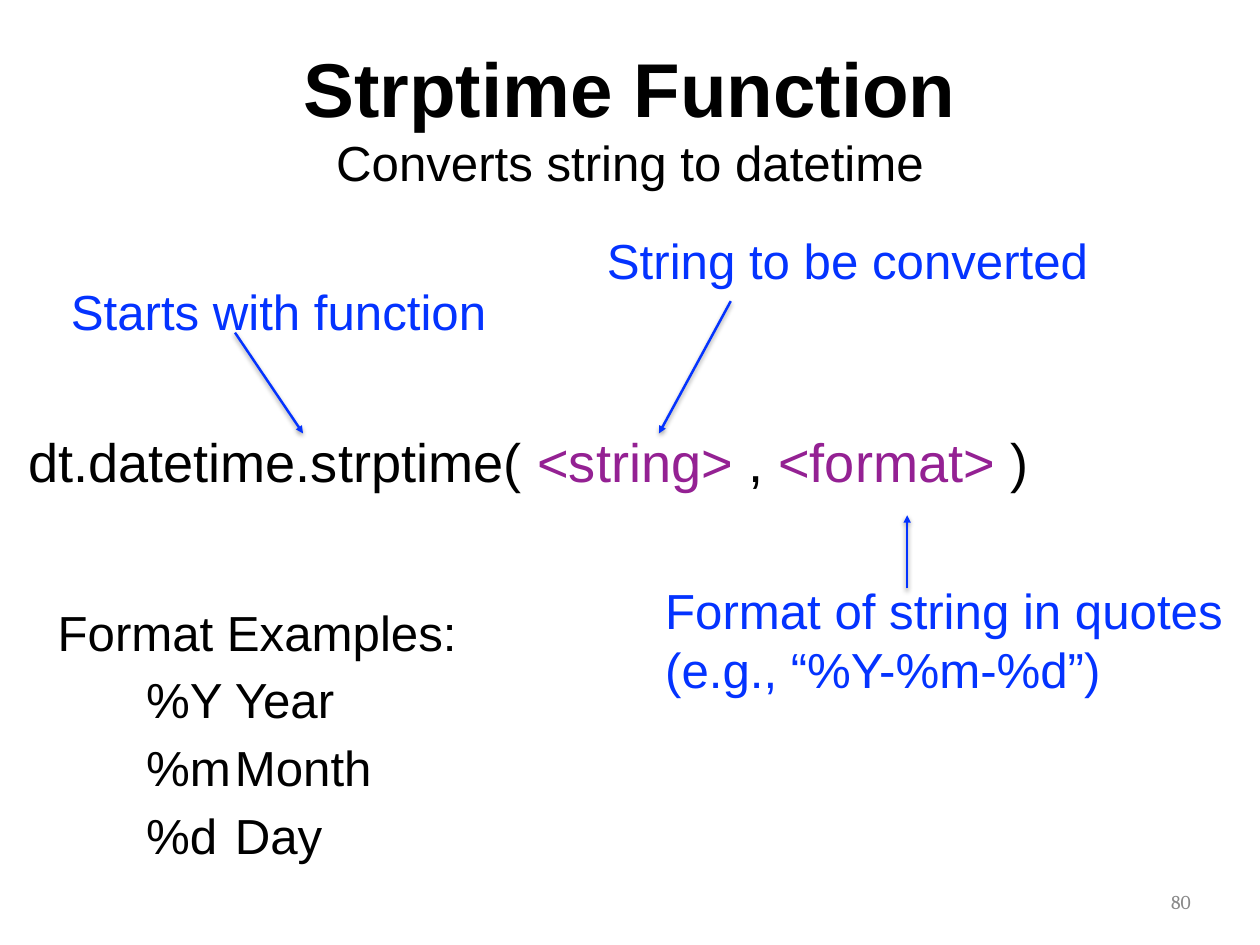
from lxml import etree
from pptx import Presentation
from pptx.dml.color import RGBColor
from pptx.enum.shapes import MSO_CONNECTOR
from pptx.enum.text import MSO_ANCHOR, MSO_AUTO_SIZE, PP_ALIGN
from pptx.oxml.ns import qn
from pptx.util import Inches, Pt

STRAIGHT = MSO_CONNECTOR.STRAIGHT
TOP, MIDDLE = MSO_ANCHOR.TOP, MSO_ANCHOR.MIDDLE
LEFT, CENTER, RIGHT = PP_ALIGN.LEFT, PP_ALIGN.CENTER, PP_ALIGN.RIGHT
FIXED = MSO_AUTO_SIZE.NONE
COLS, ROWS = 100, 75
BLACK, BLUE, PURPLE, GREY = "000000", "0433FF", "942193", "888888"


def paint(code):
    return RGBColor.from_string(code)


def add_run(para, text, size=40, font="Arial", color=BLACK, bold=False):
    run = para.add_run()
    run.text = text
    run.font.size, run.font.name, run.font.bold = Pt(size), font, bold
    run.font.color.rgb = paint(color)


def set_tab(para, indent, stop):
    """Indent the first line and add one tab stop, both in inches."""
    props = para._p.get_or_add_pPr()
    props.set("marL", "0")
    props.set("indent", str(Inches(indent)))
    tabs = etree.SubElement(props, qn("a:tabLst"))
    etree.SubElement(tabs, qn("a:tab"), pos=str(Inches(stop)), algn="l")


class Board:
    """Holds the style and the slide; lengths are grid columns and rows."""

    inset = Inches(0.07)
    stroke = Pt(2)

    def __init__(self, deck):
        self.slide = deck.slides.add_slide(deck.slide_layouts[5])
        self.col = deck.slide_width / COLS
        self.row = deck.slide_height / ROWS

    def place(self, x, y):
        return round(x * self.col), round(y * self.row)

    def fill(self, shape, lines, anchor=TOP, align=LEFT, before=0, wrap=True):
        """Write lines, each a list of (text, format) pairs."""
        frame = shape.text_frame
        frame.auto_size, frame.word_wrap = FIXED, wrap
        frame.vertical_anchor = anchor
        frame.margin_left = frame.margin_right = self.inset
        frame.margin_top = frame.margin_bottom = self.inset
        for i, line in enumerate(lines):
            para = frame.add_paragraph() if i else frame.paragraphs[0]
            para.alignment, para.space_before = align, Pt(before)
            for text, form in line:
                add_run(para, text, **form)
        return frame.paragraphs

    def title(self, x, y, w, h, lines):
        shape = self.slide.shapes.title
        shape.left, shape.top = self.place(x, y)
        shape.width, shape.height = self.place(w, h)
        self.fill(shape, lines, anchor=MIDDLE, align=CENTER)

    def text(self, x, y, w, h, lines, **form):
        box = self.slide.shapes.add_textbox(*self.place(x, y), *self.place(w, h))
        return self.fill(box, lines, **form)

    def label(self, x, y, w, h, *lines):
        self.text(x, y, w, h, [[(t, {"color": BLUE})] for t in lines], wrap=False)

    def arrow(self, start, end):
        link = self.slide.shapes.add_connector(
            STRAIGHT, *self.place(*start), *self.place(*end))
        link.line.width = self.stroke
        link.line.color.rgb = paint(BLUE)
        props = link._element.spPr
        etree.SubElement(props.find(qn("a:ln")), qn("a:tailEnd"), type="triangle")
        effects = etree.SubElement(props, qn("a:effectLst"))
        shadow = etree.SubElement(
            effects, qn("a:outerShdw"), blurRad=str(Pt(4)), dist=str(Pt(2)),
            dir="5400000", rotWithShape="0")
        tint = etree.SubElement(shadow, qn("a:srgbClr"), val=BLACK)
        etree.SubElement(tint, qn("a:alpha"), val="38000")


def main():
    deck = Presentation()
    deck.slide_width, deck.slide_height = Inches(14.22), Inches(10.67)
    board = Board(deck)

    board.title(5, 1, 90, 16.5, [
        [("Strptime Function", {"size": 62, "bold": True})],
        [("Converts string to datetime", {})],
    ])

    call = [("dt.datetime.strptime( ", BLACK), ("<string> ", PURPLE),
            (", ", BLACK), ("<format> ", PURPLE), (")", BLACK)]
    board.text(1.76, 33.5, 93, 8, [
        [(text, {"size": 44, "color": color}) for text, color in call]
    ], before=7)
    board.text(71.65, 70.1, 23.35, 2.9, [
        [("80", {"size": 16, "font": "Cambria", "color": GREY})]
    ], anchor=MIDDLE, align=RIGHT)

    board.arrow((18.65, 26.4), (24.05, 34.4))
    board.label(5.13, 21.86, 34.1, 5.7, "Starts with function")
    board.arrow((58, 23.9), (52.3, 34.4))
    board.label(47.68, 17.78, 39.3, 5.7, "String to be converted")
    board.label(52.3, 45.6, 46.5, 10.4,
                "Format of string in quotes", "(e.g., “%Y-%m-%d”)")
    board.arrow((72, 46.7), (72, 40.9))

    codes = [("%Y", "Year"), ("%m", "Month"), ("%d", "Day")]
    lines = ["Format Examples:"] + ["\t".join(pair) for pair in codes]
    paras = board.text(4.08, 47.3, 48.1, 28.9 - 1.2,
                       [[(line, {})] for line in lines], before=7)
    for para in paras[1:]:
        set_tab(para, 1, 2.58)

    deck.save("out.pptx")


if __name__ == "__main__":
    main()
